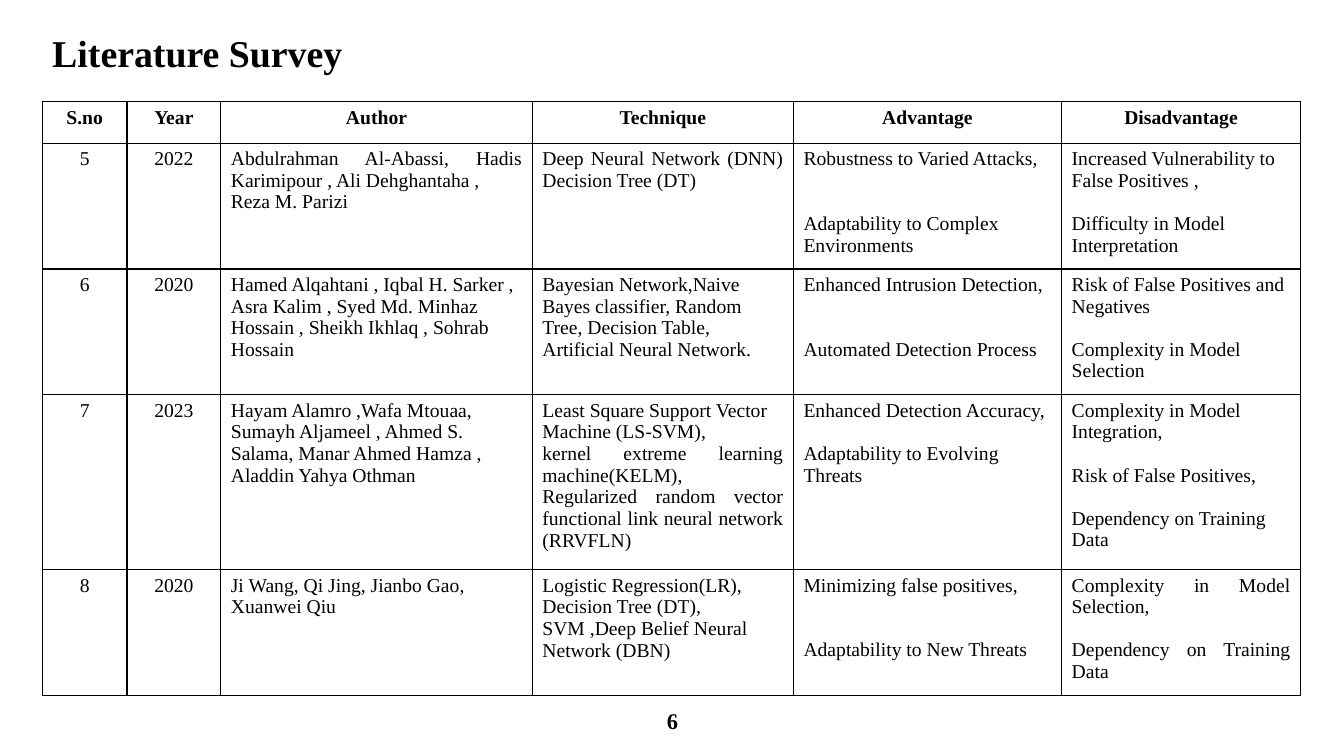
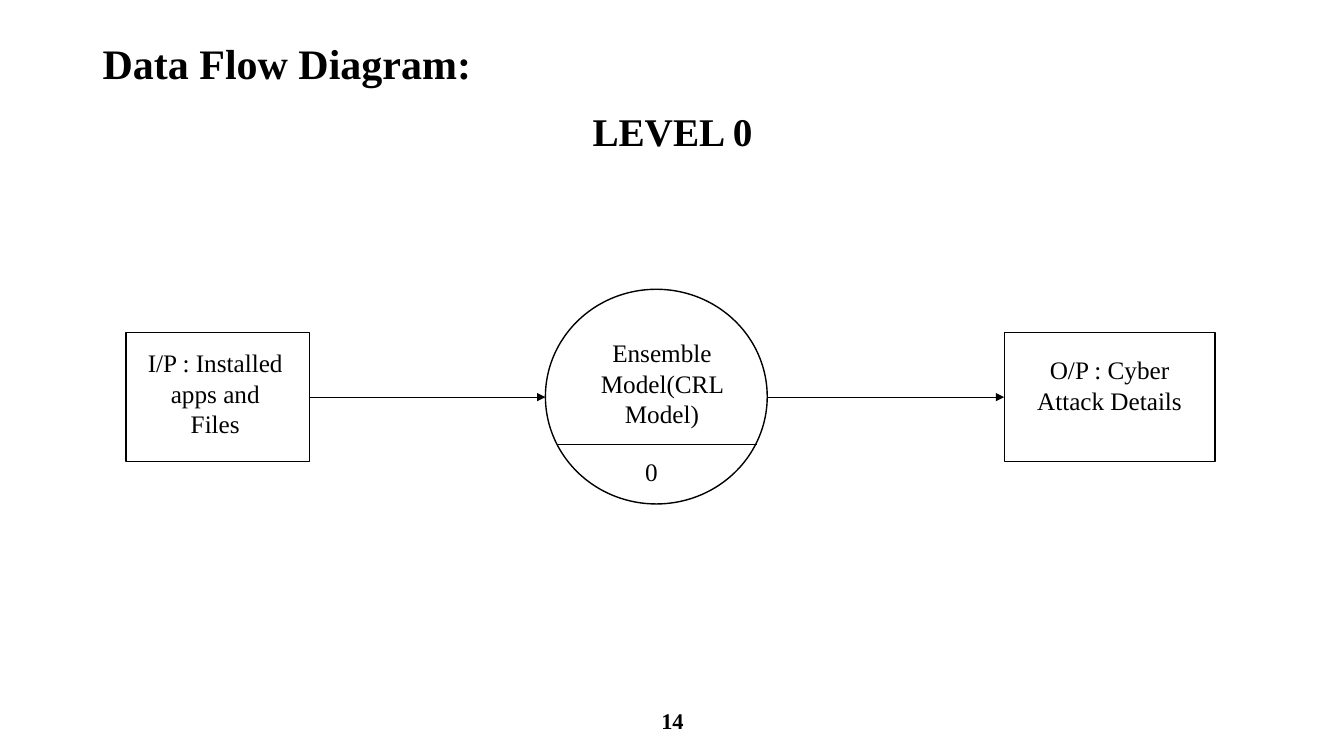
"""Build a literature survey table and a level 0 data flow diagram."""
from dataclasses import dataclass

from lxml import etree
from pptx import Presentation
from pptx.dml.color import RGBColor
from pptx.enum.shapes import MSO_CONNECTOR, MSO_SHAPE
from pptx.enum.text import MSO_ANCHOR, PP_ALIGN
from pptx.oxml.ns import qn
from pptx.util import Inches, Pt

LEFT, CENTER, JUSTIFY = PP_ALIGN.LEFT, PP_ALIGN.CENTER, PP_ALIGN.JUSTIFY
TOP, MIDDLE = MSO_ANCHOR.TOP, MSO_ANCHOR.MIDDLE
RECT, OVAL = MSO_SHAPE.RECTANGLE, MSO_SHAPE.OVAL
STRAIGHT = MSO_CONNECTOR.STRAIGHT


@dataclass(frozen=True)
class Theme:
    font: str = "Times New Roman"
    ink: str = "000000"
    paper: str = "FFFFFF"
    heading: int = 28
    label: int = 18
    number: int = 16
    cell: int = 14
    cell_line: float = 15.4
    title_spacing: float = 0.9
    outline: float = 1
    rule: float = 0.5


T = Theme()
SLIDE_W, SLIDE_H = 13.33, 7.5
PAGE_NUMBER = (4.42, 6.95, 4.5, 0.4)

SURVEY_TITLE = ("Literature Survey", (0.42, 0.33, 11.5, 0.44), 27)
SURVEY_AT = (0.42, 1.01)
COLUMNS = (("S.no", 0.84), ("Year", 0.93), ("Author", 3.09),
           ("Technique", 2.59), ("Advantage", 2.66), ("Disadvantage", 2.37))
HEADER_H = 0.41
# Each cell: alignment, blank lines between paragraphs, paragraphs.
SURVEY = (
    (1.17, (
        (CENTER, 0, "5"), (CENTER, 0, "2022"),
        (JUSTIFY, 0, "Abdulrahman Al-Abassi, Hadis Karimipour , Ali Dehghantaha ,",
         "Reza M. Parizi"),
        (JUSTIFY, 0, "Deep Neural Network (DNN) Decision Tree (DT)"),
        (LEFT, 2, "Robustness to Varied Attacks,",
         "Adaptability to Complex Environments"),
        (LEFT, 1, "Increased Vulnerability to False Positives ,",
         "Difficulty in Model Interpretation"))),
    (1.17, (
        (CENTER, 0, "6"), (CENTER, 0, "2020"),
        (LEFT, 0, "Hamed Alqahtani , Iqbal H. Sarker , Asra Kalim , "
         "Syed Md. Minhaz Hossain , Sheikh Ikhlaq , Sohrab Hossain"),
        (LEFT, 0, "Bayesian Network,Naive Bayes classifier, Random Tree, "
         "Decision Table,", "Artificial Neural Network."),
        (LEFT, 2, "Enhanced Intrusion Detection,",
         "Automated Detection Process"),
        (LEFT, 1, "Risk of False Positives and Negatives",
         "Complexity in Model Selection"))),
    (1.61, (
        (CENTER, 0, "7"), (CENTER, 0, "2023"),
        (LEFT, 0, "Hayam Alamro ,Wafa Mtouaa,",
         "Sumayh Aljameel , Ahmed S. Salama, Manar Ahmed Hamza ,",
         "Aladdin Yahya Othman"),
        (JUSTIFY, 0, "Least Square Support Vector", "Machine (LS-SVM),",
         "kernel extreme learning machine(KELM),",
         "Regularized random vector functional link neural network (RRVFLN)"),
        (LEFT, 1, "Enhanced Detection Accuracy,",
         "Adaptability to Evolving Threats"),
        (LEFT, 1, "Complexity in Model Integration,",
         "Risk of False Positives,", "Dependency on Training Data"))),
    (1.17, (
        (CENTER, 0, "8"), (CENTER, 0, "2020"),
        (LEFT, 0, "Ji Wang, Qi Jing, Jianbo Gao, Xuanwei Qiu"),
        (LEFT, 0, "Logistic Regression(LR), Decision Tree (DT),",
         "SVM ,Deep Belief Neural Network (DBN)"),
        (LEFT, 2, "Minimizing false positives,",
         "Adaptability to New Threats"),
        (JUSTIFY, 1, "Complexity in Model Selection,",
         "Dependency on Training Data"))),
)

FLOW_TITLE = ("Data Flow Diagram:", (0.92, 0.4, 4.13, 0.5), 30)
LEVEL = ("LEVEL 0", (0.92, 1.07, 11.5, 0.5))
NODES = ((RECT, (1.25, 3.3, 1.82, 1.28)),
         (OVAL, (5.41, 2.87, 2.2, 2.13)),
         (RECT, (9.96, 3.3, 2.09, 1.28)))
FLOW_Y = 3.94
DIVIDER = ((5.52, 4.41), (7.51, 4.41))
LABELS = (("I/P : Installed apps and Files", (1.35, 3.4, 1.57, 1.01)),
          ("Ensemble Model(CRL Model)", (5.52, 3.3, 2.09, 1.01)),
          ("O/P : Cyber Attack Details", (9.97, 3.47, 2.07, 0.71)),
          ("0", (6.12, 4.48, 0.68, 0.4)))


def rgb(color):
    return RGBColor.from_string(color)


def inches(values):
    return [Inches(v) for v in values]


def write(tf, paragraphs, size, bold=False, align=LEFT, gap=0, spacing=None):
    tf.word_wrap = True
    tf.text = "\n".join(paragraphs)
    for i, p in enumerate(tf.paragraphs):
        p.alignment = align
        if spacing:
            p.line_spacing = spacing
        if i and gap:
            p.space_before = Pt(gap)
        for r in p.runs:
            r.font.name, r.font.size, r.font.bold = T.font, Pt(size), bold
            r.font.color.rgb = rgb(T.ink)


def add_text(s, text, box, size, anchor=TOP, **style):
    tf = s.shapes.add_textbox(*inches(box)).text_frame
    write(tf, [text], size, **style)
    tf.vertical_anchor = anchor


def add_page(prs, title, number):
    s = prs.slides.add_slide(prs.slide_layouts[6])
    s.background.fill.solid()
    s.background.fill.fore_color.rgb = rgb(T.paper)
    text, box, size = title
    add_text(s, text, box, size, MIDDLE, bold=True, spacing=T.title_spacing)
    add_text(s, str(number), PAGE_NUMBER, T.number, MIDDLE,
             bold=True, align=CENTER)
    return s


def add_borders(cell):
    props = cell._tc.get_or_add_tcPr()
    for i, side in enumerate(("a:lnL", "a:lnR", "a:lnT", "a:lnB")):
        ln = etree.Element(qn(side), w=str(Pt(T.outline)))
        fill = etree.SubElement(ln, qn("a:solidFill"))
        etree.SubElement(fill, qn("a:srgbClr"), val=T.ink)
        props.insert(i, ln)


def add_survey(s):
    header = tuple((CENTER, 0, name) for name, _ in COLUMNS)
    rows = ((HEADER_H, header),) + SURVEY
    widths = [width for _, width in COLUMNS]
    size = (sum(widths), sum(height for height, _ in rows))
    table = s.shapes.add_table(len(rows), len(widths),
                               *inches(SURVEY_AT + size)).table
    for column, width in zip(table.columns, widths):
        column.width = Inches(width)
    for i, (height, cells) in enumerate(rows):
        table.rows[i].height = Inches(height)
        for j, (align, blanks, *paragraphs) in enumerate(cells):
            cell = table.cell(i, j)
            cell.fill.solid()
            cell.fill.fore_color.rgb = rgb(T.paper)
            write(cell.text_frame, paragraphs, T.cell, bold=i == 0,
                  align=align, gap=blanks * T.cell_line)
            add_borders(cell)


def add_node(s, kind, box):
    sp = s.shapes.add_shape(kind, *inches(box))
    sp.shadow.inherit = False
    sp.fill.solid()
    sp.fill.fore_color.rgb = rgb(T.paper)
    sp.line.color.rgb = rgb(T.ink)
    sp.line.width = Pt(T.outline)


def add_line(s, start, end, arrow=False):
    line = s.shapes.add_connector(STRAIGHT, *inches(start + end))
    line.line.color.rgb = rgb(T.ink)
    line.line.width = Pt(T.rule)
    props = line._element.spPr
    if arrow:
        etree.SubElement(props.find(qn("a:ln")), qn("a:tailEnd"),
                         type="triangle")
    etree.SubElement(props, qn("a:effectLst"))


def add_flow(s):
    text, box = LEVEL
    add_text(s, text, box, T.heading, bold=True, align=CENTER,
             spacing=T.title_spacing)
    for kind, box in NODES:
        add_node(s, kind, box)
    add_line(s, *DIVIDER)
    for (_, source), (_, target) in zip(NODES, NODES[1:]):
        add_line(s, (source[0] + source[2], FLOW_Y), (target[0], FLOW_Y),
                 arrow=True)
    for text, box in LABELS:
        add_text(s, text, box, T.label, align=CENTER)


def main():
    prs = Presentation()
    prs.slide_width, prs.slide_height = inches((SLIDE_W, SLIDE_H))
    add_survey(add_page(prs, SURVEY_TITLE, 6))
    add_flow(add_page(prs, FLOW_TITLE, 14))
    prs.save("out.pptx")


if __name__ == "__main__":
    main()
